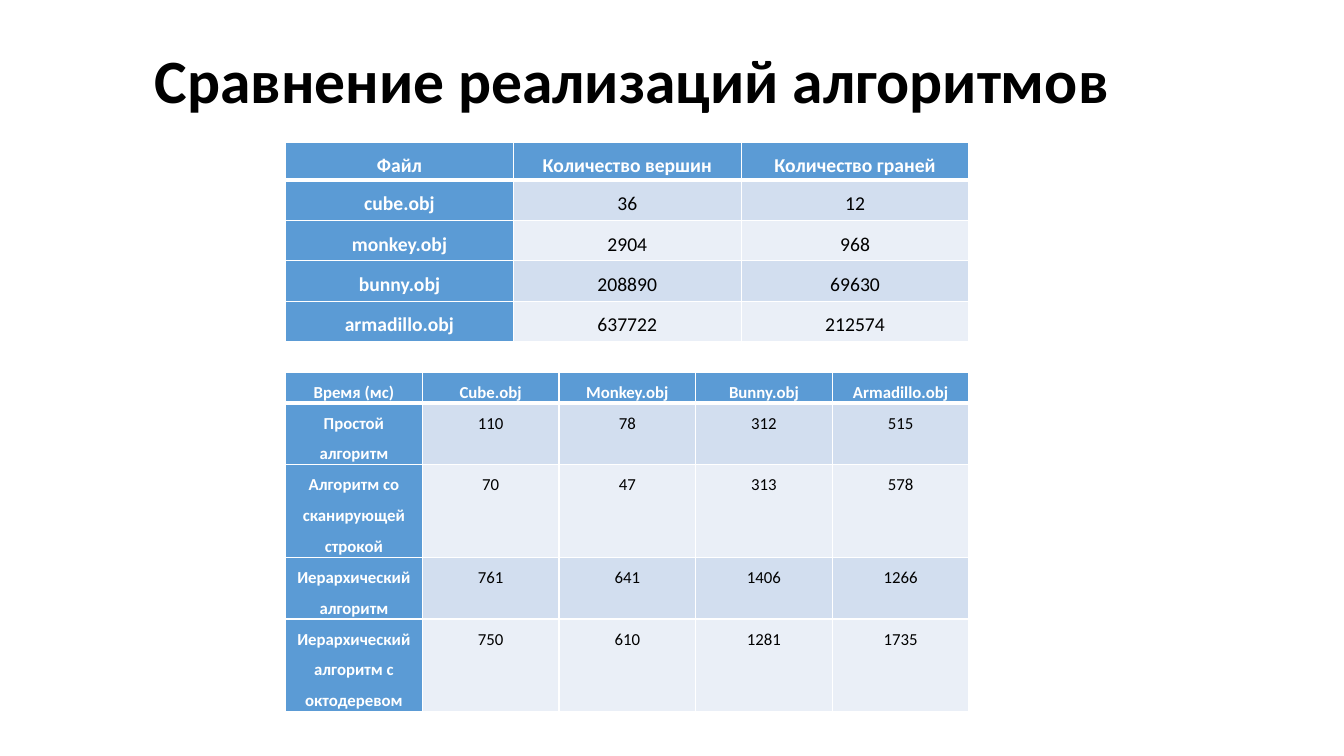
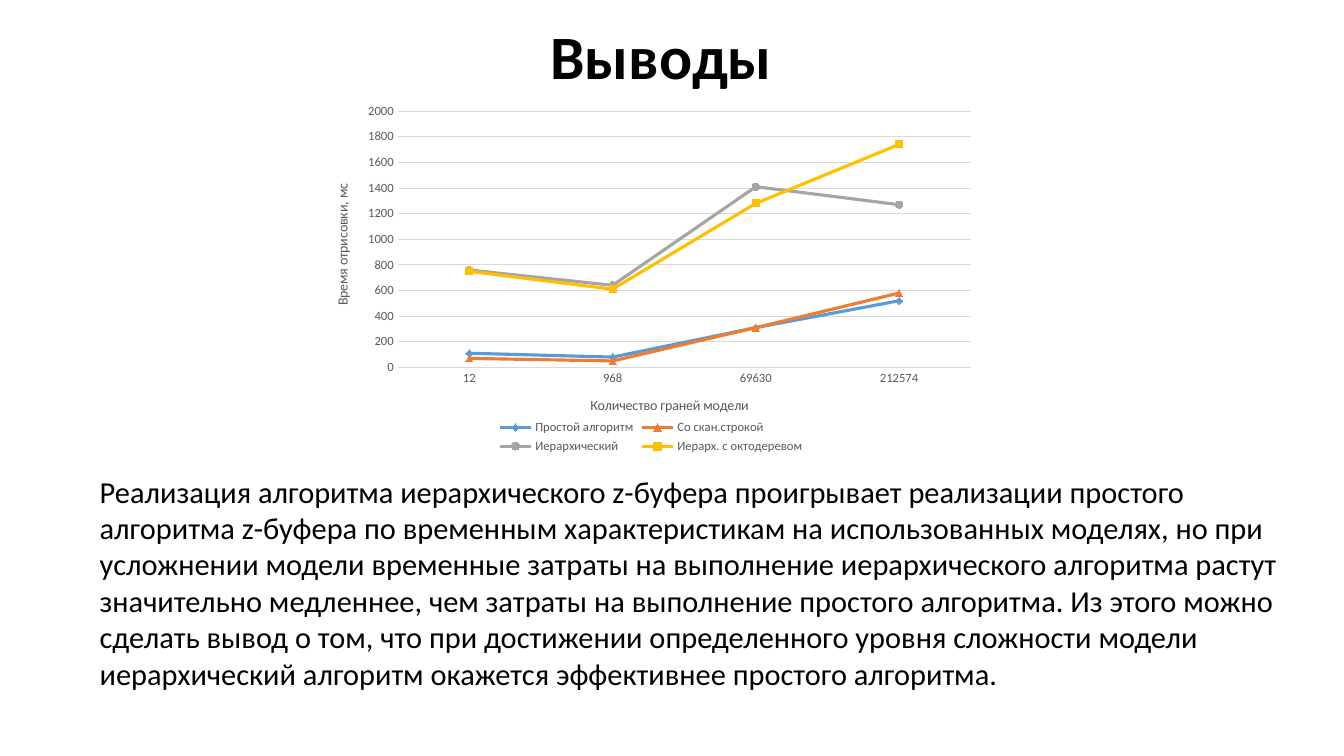
import pptx
import pptx.chart.data
import pptx.dml.color
import pptx.enum.chart
import pptx.enum.text
import pptx.oxml
import pptx.oxml.ns
import pptx.util

Pt = pptx.util.Pt
RGBColor = pptx.dml.color.RGBColor
Marker = pptx.enum.chart.XL_MARKER_STYLE
CENTER = pptx.enum.text.PP_ALIGN.CENTER
MIDDLE = pptx.enum.text.MSO_ANCHOR.MIDDLE
TOP = pptx.enum.text.MSO_ANCHOR.TOP

FONT = "Calibri"
BLACK = RGBColor(0x00, 0x00, 0x00)
WHITE = RGBColor(0xFF, 0xFF, 0xFF)
BLUE = RGBColor(0x5B, 0x9B, 0xD5)
ORANGE = RGBColor(0xED, 0x7D, 0x31)
GRAY = RGBColor(0xA5, 0xA5, 0xA5)
YELLOW = RGBColor(0xFF, 0xC0, 0x00)
BANDS = [RGBColor(0xD2, 0xDE, 0xEF), RGBColor(0xEA, 0xEF, 0xF7)]
AXIS_TEXT = RGBColor(0x59, 0x59, 0x59)
GRID = RGBColor(0xD9, 0xD9, 0xD9)

TITLE = {"size": Pt(44), "bold": True}
TITLE_PARAGRAPH = {"alignment": CENTER, "line_spacing": 0.9}
BODY = {"size": Pt(21.7), "bold": False}
BODY_PARAGRAPH = {"space_before": Pt(10), "line_spacing": 1.0}
CELL_PARAGRAPH = {"alignment": CENTER, "line_spacing": 1.5}
CELL_MARGINS = {"margin_left": Pt(5), "margin_right": Pt(5),
                "margin_top": 0, "margin_bottom": 0}

MODELS = [
    ["Файл", "Количество вершин", "Количество граней"],
    ["cube.obj", 36, 12],
    ["monkey.obj", 2904, 968],
    ["bunny.obj", 208890, 69630],
    ["armadillo.obj", 637722, 212574],
]
TIMES = [
    ["Время (мс)", "Cube.obj", "Monkey.obj", "Bunny.obj", "Armadillo.obj"],
    ["Простой алгоритм", 110, 78, 312, 515],
    ["Алгоритм со сканирующей строкой", 70, 47, 313, 578],
    ["Иерархический алгоритм", 761, 641, 1406, 1266],
    ["Иерархический алгоритм с октодеревом", 750, 610, 1281, 1735],
]
CONCLUSION = (
    "Реализация алгоритма иерархического z-буфера проигрывает реализации простого "
    "алгоритма z-буфера по временным характеристикам на использованных моделях, но при "
    "усложнении модели временные затраты на выполнение иерархического алгоритма растут "
    "значительно медленнее, чем затраты на выполнение простого алгоритма. Из этого можно "
    "сделать вывод о том, что при достижении определенного уровня сложности модели "
    "иерархический алгоритм окажется эффективнее простого алгоритма."
)


def style_font(font, color, **values):
    """Set the shared typeface, a colour and any further font values."""
    font.name = FONT
    font.color.rgb = color
    for name, value in values.items():
        setattr(font, name, value)


def write_text(frame, text, color, font_values, paragraph_values):
    """Write one formatted paragraph into a text frame."""
    paragraph = frame.paragraphs[0]
    for name, value in paragraph_values.items():
        setattr(paragraph, name, value)
    run = paragraph.add_run()
    run.text = text
    style_font(run.font, color, **font_values)


deck = pptx.Presentation()
deck.slide_width, deck.slide_height = Pt(960), Pt(540)
blank = deck.slide_layouts[6]
comparison = deck.slides.add_slide(blank)
conclusions = deck.slides.add_slide(blank)

# Titles and body text
for slide, text, box, anchor, font_values, paragraph_values in [
    (comparison, "Сравнение реализаций алгоритмов", (37.8, 7.2, 828, 104.4),
     MIDDLE, TITLE, TITLE_PARAGRAPH),
    (conclusions, "Выводы", (58.3, 8.6, 828, 67.7), MIDDLE, TITLE, TITLE_PARAGRAPH),
    (conclusions, CONCLUSION, (64.1, 334.1, 858.2, 165.6), TOP, BODY, BODY_PARAGRAPH),
]:
    frame = slide.shapes.add_textbox(*map(Pt, box)).text_frame
    frame.word_wrap = True
    frame.vertical_anchor = anchor
    write_text(frame, text, BLACK, font_values, paragraph_values)

# Tables
for rows, top, heights, size in [
    (MODELS, 101.5, [27.2] + [28.8] * 4, 14),
    (TIMES, 265.7, [22.1, 44.1, 66.2, 44.1, 66.2], 12),
]:
    table = comparison.shapes.add_table(
        len(rows), len(rows[0]), Pt(204), Pt(top), Pt(488.2), Pt(sum(heights))).table
    table.horz_banding = False
    for column in table.columns:
        column.width = Pt(round(488.2 / len(rows[0]), 2))
    for r, (values, height) in enumerate(zip(rows, heights)):
        table.rows[r].height = Pt(height)
        for c, value in enumerate(values):
            cell = table.cell(r, c)
            heading = r == 0 or c == 0
            for name, margin in CELL_MARGINS.items():
                setattr(cell, name, margin)
            cell.fill.solid()
            cell.fill.fore_color.rgb = BLUE if heading else BANDS[(r - 1) % 2]
            write_text(cell.text_frame, str(value), WHITE if heading else BLACK,
                       {"size": Pt(size), "bold": heading}, CELL_PARAGRAPH)
            edges = {"L": 1, "R": 1, "T": 3 if r == 1 else 1, "B": 3 if r == 0 else 1}
            for position, (side, width) in enumerate(edges.items()):
                cell._tc.get_or_add_tcPr().insert(position, pptx.oxml.parse_xml(
                    f'<a:ln{side} {pptx.oxml.ns.nsdecls("a")} w="{Pt(width)}"><a:solidFill>'
                    f'<a:srgbClr val="{WHITE}"/></a:solidFill></a:ln{side}>'))

# Rendering time by number of faces, rounded to tens
SERIES = [
    ("Простой алгоритм", BLUE, Marker.DIAMOND),
    ("Со скан.строкой", ORANGE, Marker.TRIANGLE),
    ("Иерархический", GRAY, Marker.CIRCLE),
    ("Иерарх. с октодеревом", YELLOW, Marker.SQUARE),
]
timings = pptx.chart.data.CategoryChartData()
timings.categories = [str(faces) for _, _, faces in MODELS[1:]]
for (name, _, _), row in zip(SERIES, TIMES[1:]):
    timings.add_series(name, [round(time, -1) for time in row[1:]])
chart = conclusions.shapes.add_chart(
    pptx.enum.chart.XL_CHART_TYPE.LINE_MARKERS,
    Pt(227), Pt(69.1), Pt(475.9), Pt(257.8), timings).chart
style_font(chart.font, BLACK, size=Pt(10))
chart.has_title = False
chart.has_legend = True
chart.legend.position = pptx.enum.chart.XL_LEGEND_POSITION.BOTTOM
chart.legend.include_in_layout = False
style_font(chart.legend.font, AXIS_TEXT, size=Pt(9))

plot = chart.plots[0]
plot.vary_by_categories = False
for series, (_, color, marker) in zip(plot.series, SERIES):
    series.smooth = False
    series.format.line.width = Pt(2.25)
    series.format.line.color.rgb = color
    series.marker.style = marker
    series.marker.size = 5
    series.marker.format.fill.solid()
    series.marker.format.fill.fore_color.rgb = color
    series.marker.format.line.color.rgb = color

faces_axis, time_axis = chart.category_axis, chart.value_axis
for axis, title in [(faces_axis, "Количество граней модели"),
                    (time_axis, "Время отрисовки, мс")]:
    axis.major_tick_mark = axis.minor_tick_mark = pptx.enum.chart.XL_TICK_MARK.NONE
    style_font(axis.tick_labels.font, AXIS_TEXT, size=Pt(9))
    write_text(axis.axis_title.text_frame, title, AXIS_TEXT,
               {"size": Pt(10), "bold": False}, {})
for name, value in {"minimum_scale": 0, "maximum_scale": 2000, "major_unit": 200}.items():
    setattr(time_axis, name, value)
time_axis.format.line.fill.background()
for line in (faces_axis.format.line, time_axis.major_gridlines.format.line):
    line.color.rgb = GRID
    line.width = Pt(0.75)

plot_area = chart._chartSpace.chart.plotArea
for layout in plot_area.findall(pptx.oxml.ns.qn("c:layout")):
    plot_area.remove(layout)
placement = "".join(f'<c:{name} val="{value}"/>' for name, value in [
    ("layoutTarget", "inner"), ("xMode", "edge"), ("yMode", "edge"),
    ("x", 0.12), ("y", 0.04), ("w", 0.86), ("h", 0.71)])
plot_area.insert(0, pptx.oxml.parse_xml(
    f'<c:layout {pptx.oxml.ns.nsdecls("c")}><c:manualLayout>{placement}'
    '</c:manualLayout></c:layout>'))

deck.save("out.pptx")
